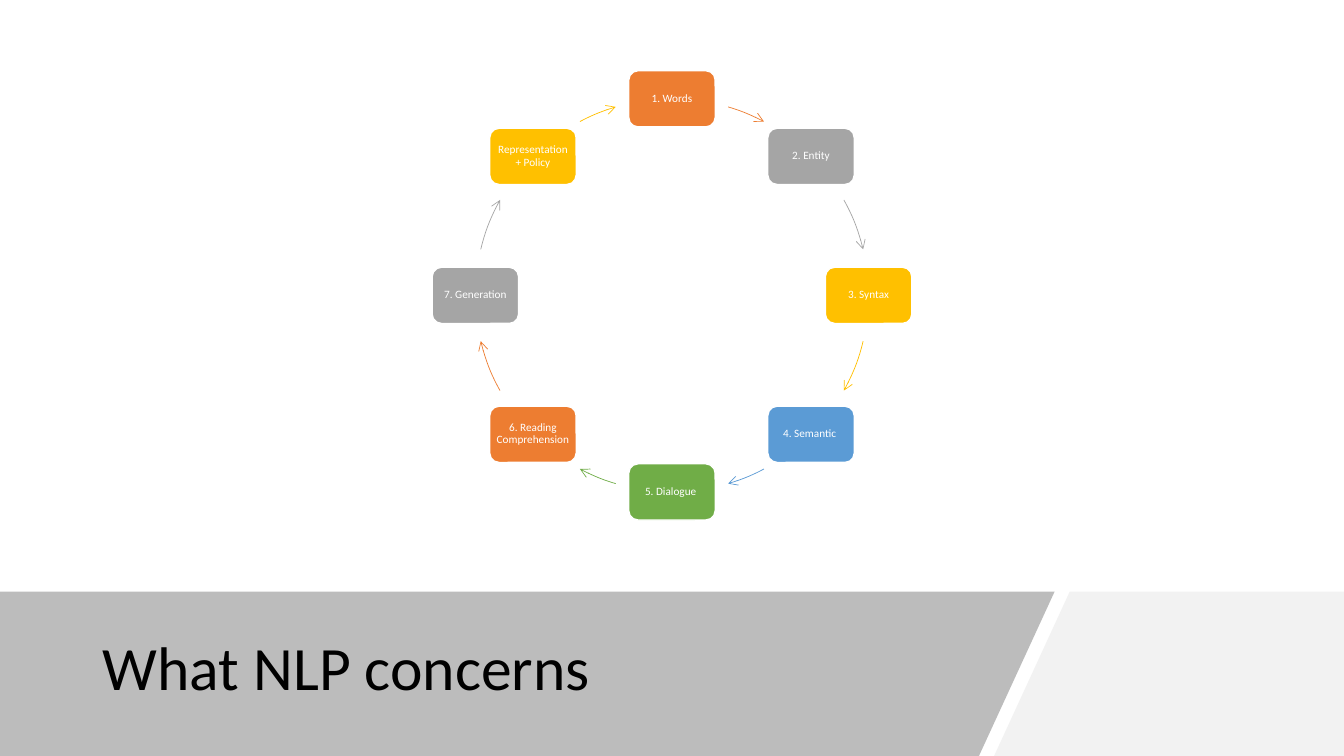
import math

import lxml.etree
import pptx
import pptx.dml.color
import pptx.enum.shapes
import pptx.enum.text
import pptx.oxml.ns
import pptx.util

WIDTH, HEIGHT = 13.33, 7.5
FONT = "Calibri"
TOPICS = [
    ("1. Words", "ED7D31"),
    ("2. Entity", "A5A5A5"),
    ("3. Syntax", "FFC000"),
    ("4. Semantic ", "5B9BD5"),
    ("5. Dialogue ", "70AD47"),
    ("6. Reading Comprehension", "ED7D31"),
    ("7. Generation", "A5A5A5"),
    ("Representation + Policy", "FFC000"),
]
HALF_TURN_ARCS = [(16.6, 27.9), (61, 76.5), (103.5, 119), (152.1, 163.4)]


def inches(*lengths):
    """Convert lengths in inches to slide units."""
    return [pptx.util.Inches(length) for length in lengths]


def paint(color_format, hex_color):
    """Set a colour from a hex string."""
    color_format.rgb = pptx.dml.color.RGBColor.from_string(hex_color)


def fill_shape(shape, hex_color):
    """Fill a shape with one colour and no shadow."""
    shape.shadow.inherit = False
    shape.fill.solid()
    paint(shape.fill.fore_color, hex_color)


def write(frame, text, size, hex_color, align):
    """Write one vertically centred paragraph into a text frame."""
    frame.word_wrap = True
    frame.vertical_anchor = pptx.enum.text.MSO_ANCHOR.MIDDLE
    para = frame.paragraphs[0]
    para.alignment = align
    para.line_spacing = 0.9
    span = para.add_run()
    span.text = text
    span.font.name = FONT
    span.font.size = pptx.util.Pt(size)
    paint(span.font.color, hex_color)


def add_footer(page, left, top, width, height):
    """Draw the two slanted bands and place the title on them."""
    right, bottom = left + width, top + height
    slant, gap = 0.75, 0.15
    edge = right - 2.87
    light = [(edge + gap, top), (right, top), (right, bottom), (edge + gap - slant, bottom)]
    dark = [(left, top), (edge, top), (edge - slant, bottom), (left, bottom)]
    for points, hex_color in ((light, "F2F2F2"), (dark, "595959")):
        builder = page.shapes.build_freeform(*inches(*points[0]), scale=1.0)
        builder.add_line_segments([inches(*point) for point in points[1:]], close=True)
        band = builder.convert_to_shape()
        fill_shape(band, hex_color)
        band.line.fill.background()
    color = band.element.spPr.find(
        pptx.oxml.ns.qn("a:solidFill") + "/" + pptx.oxml.ns.qn("a:srgbClr"))
    lxml.etree.SubElement(color, pptx.oxml.ns.qn("a:alpha"), val="40000")

    title = page.shapes.title
    title.left, title.top, title.width, title.height = inches(
        left + 0.92, top + 0.18, 8.83, 1.2)
    write(title.text_frame, "What NLP concerns", 44, "000000", pptx.enum.text.PP_ALIGN.LEFT)
    title.element.getparent().append(title.element)


def add_arc_arrow(page, left, top, size, start, end, hex_color):
    """Draw one curved arrow on the circle that fills a square box."""
    radius = size / 2
    sweep = math.radians(end - start)
    reach = 4 / 3 * math.tan(sweep / 4)

    def on_circle(degrees, lead):
        angle = math.radians(degrees)
        return inches(left + radius + radius * (math.sin(angle) + lead * math.cos(angle)),
                      top + radius - radius * (math.cos(angle) - lead * math.sin(angle)))

    builder = page.shapes.build_freeform(*inches(left, top), scale=1.0)
    builder.move_to(*inches(left + size, top + size))
    builder.move_to(*on_circle(start, 0))
    builder.add_line_segments(
        [on_circle(start, reach), on_circle(end, -reach), on_circle(end, 0)], close=False)
    arrow = builder.convert_to_shape()
    arrow.shadow.inherit = False
    arrow.fill.background()
    paint(arrow.line.color, hex_color)
    arrow.line.width = pptx.util.Pt(0.5)

    route = next(arrow.element.iter(pptx.oxml.ns.qn("a:path")))
    corner, opposite, _, *segments = list(route)
    route.remove(corner)
    route.remove(opposite)
    curve = lxml.etree.SubElement(route, pptx.oxml.ns.qn("a:cubicBezTo"))
    for segment in segments:
        curve.append(segment[0])
        route.remove(segment)
    line = arrow.element.spPr.find(pptx.oxml.ns.qn("a:ln"))
    lxml.etree.SubElement(line, pptx.oxml.ns.qn("a:tailEnd"), type="arrow")


def add_ring(page, left, top, size):
    """Place the topic boxes and the arrows between them round a circle."""
    radius = size / 2
    box_width, box_height = 0.22 * size, 0.143 * size
    for index, (topic, hex_color) in enumerate(TOPICS):
        angle = math.tau / len(TOPICS) * index
        x = left + radius + radius * math.sin(angle)
        y = top + radius - radius * math.cos(angle)
        box = page.shapes.add_shape(
            pptx.enum.shapes.MSO_SHAPE.ROUNDED_RECTANGLE,
            *inches(x - box_width / 2, y - box_height / 2, box_width, box_height))
        fill_shape(box, hex_color)
        paint(box.line.color, "FFFFFF")
        box.line.width = pptx.util.Pt(1)
        frame = box.text_frame
        frame.margin_left = frame.margin_right = pptx.util.Inches(0.03)
        frame.margin_top = frame.margin_bottom = pptx.util.Inches(0.03)
        write(frame, topic, 8, "FFFFFF", pptx.enum.text.PP_ALIGN.CENTER)

        half, place = divmod(index, len(HALF_TURN_ARCS))
        start, end = HALF_TURN_ARCS[place]
        add_arc_arrow(page, left, top, size, 180 * half + start, 180 * half + end, hex_color)


def main():
    """Build the slide and save it."""
    deck = pptx.Presentation()
    deck.slide_width, deck.slide_height = inches(WIDTH, HEIGHT)
    page = deck.slides.add_slide(deck.slide_layouts[5])
    footer_top = 5.87
    add_footer(page, 0, footer_top, WIDTH, HEIGHT - footer_top)
    ring_size = 3.9
    add_ring(page, (WIDTH - ring_size) / 2, 0.98, ring_size)
    deck.save("out.pptx")


if __name__ == "__main__":
    main()
